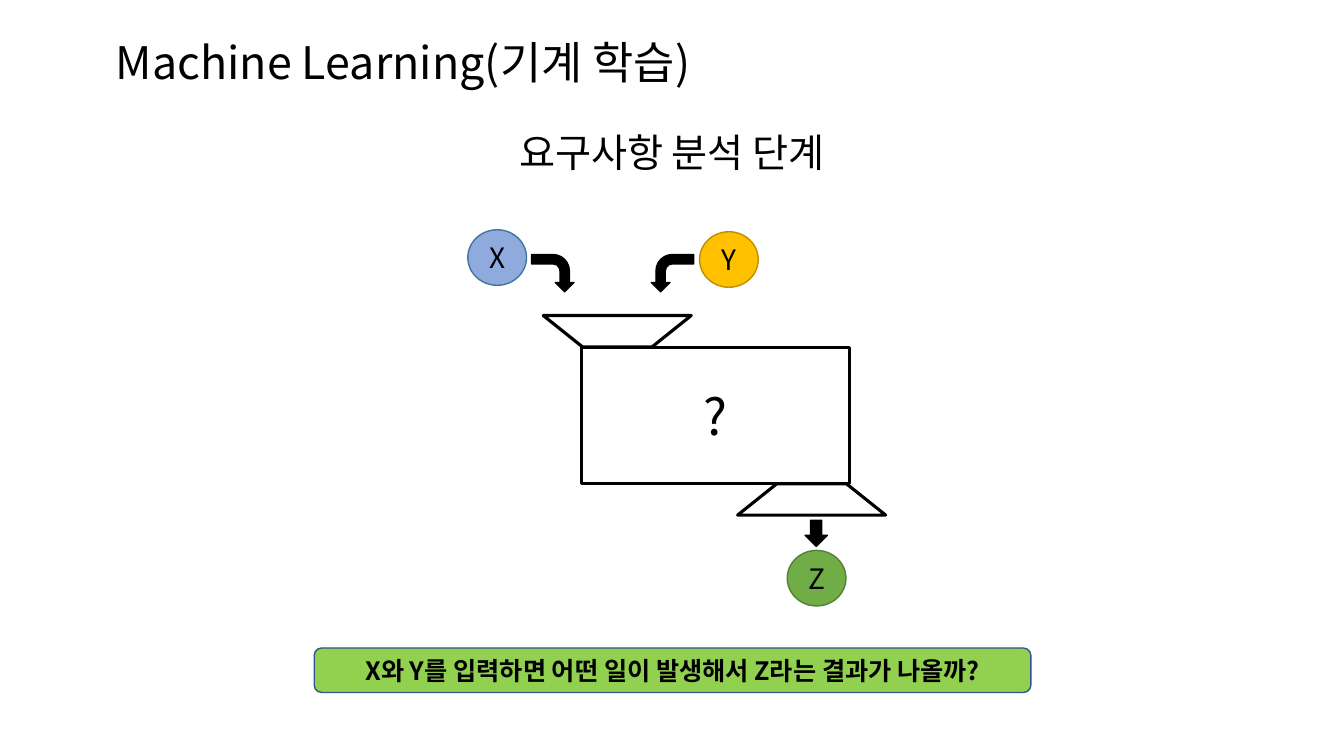
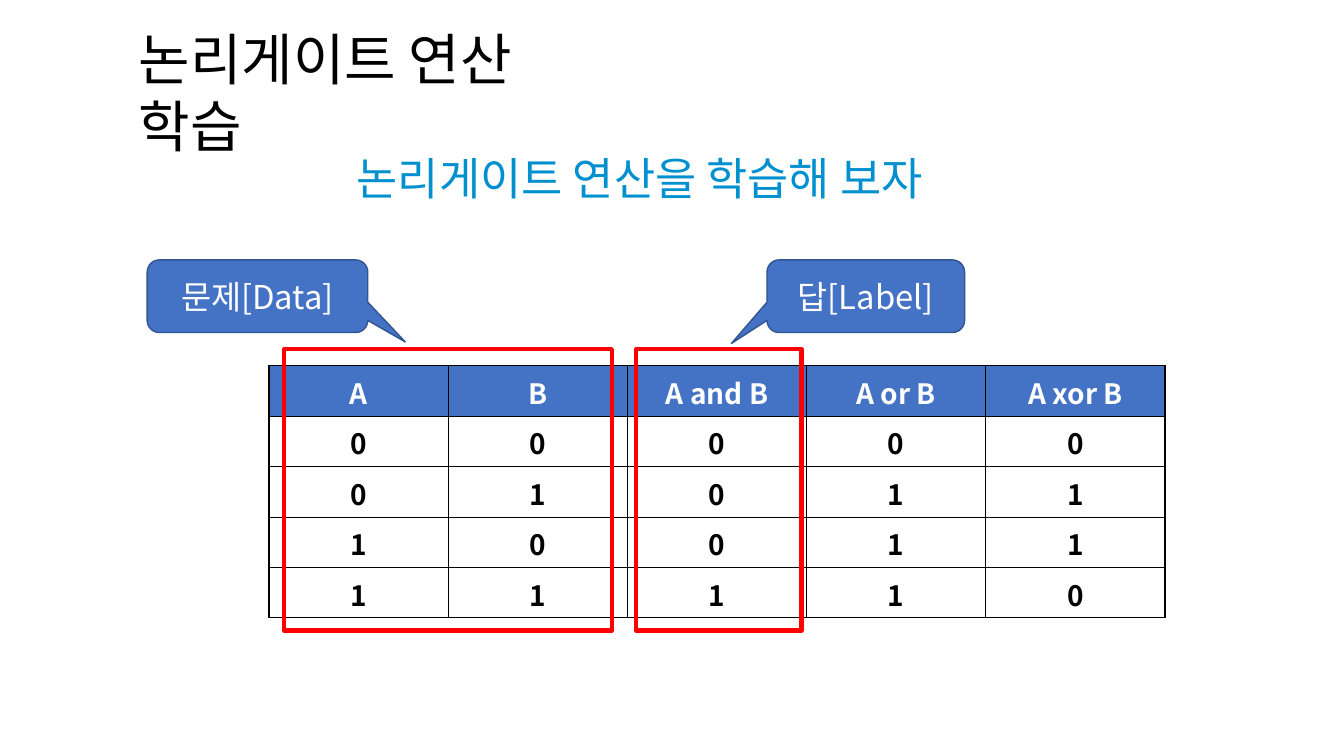
"""Build two slides: a machine learning diagram and a logic gate table."""
from dataclasses import dataclass
from typing import NamedTuple, Optional

from lxml import etree
from pptx import Presentation, slide as sl, util as u
from pptx.dml import color
from pptx.enum import shapes, text
from pptx.oxml import ns
from pptx.shapes import autoshape
from pptx.text import text as tx

Cm = u.Cm
Kind = shapes.MSO_SHAPE
Align = text.PP_ALIGN


@dataclass(frozen=True)
class Theme:
    font: str = "Noto Sans CJK KR"
    black: str = "000000"
    white: str = "FFFFFF"
    blue: str = "4472C4"
    navy: str = "325491"
    cyan: str = "0090D0"
    red: str = "FF0000"
    lime: str = "92D050"
    input_x: tuple = ("8FAADC", "43739E")
    input_y: tuple = ("FFC000", "BD8E00")
    output_z: tuple = ("70AD47", "538035")
    title_size: float = 32
    large_title_size: float = 40
    subtitle_size: float = 28
    question_size: float = 36
    callout_size: float = 23.4
    label_size: float = 20
    banner_size: float = 18
    thin: float = 1
    outline: float = 2.25
    highlight: float = 3


THEME = Theme()


class Box(NamedTuple):
    left: float
    top: float
    width: float
    height: float

    def lengths(self) -> list[u.Length]:
        return [Cm(value) for value in self]


class Label(NamedTuple):
    words: str
    size: float
    ink: str = THEME.black
    bold: bool = False
    align: Align = Align.CENTER


class Figure(NamedTuple):
    kind: Kind
    box: Box
    fill: Optional[str]
    line: str
    width: float = THEME.thin
    label: Optional[Label] = None
    adjustments: tuple = ()
    rotation: float = 0
    flipped: bool = False


def rgb(value: str) -> color.RGBColor:
    return color.RGBColor.from_string(value)


def set_values(target: object, values: dict) -> None:
    for name, value in values.items():
        setattr(target, name, value)


def write(frame: tx.TextFrame, label: Label) -> None:
    paragraph = frame.paragraphs[0]
    paragraph.alignment = label.align
    run = paragraph.add_run()
    run.text = label.words
    set_values(run.font, {"name": THEME.font, "size": u.Pt(label.size), "bold": label.bold})
    run.font.color.rgb = rgb(label.ink)
    properties = run.font._element
    etree.SubElement(properties, ns.qn("a:ea"), typeface=THEME.font)


def add_text(slide: sl.Slide, box: Box, label: Label, inset: tuple = (0.25, 0.13)) -> None:
    frame = slide.shapes.add_textbox(*box.lengths()).text_frame
    side, edge = (Cm(value) for value in inset)
    set_values(frame, {
        "word_wrap": True, "auto_size": text.MSO_AUTO_SIZE.SHAPE_TO_FIT_TEXT,
        "margin_left": side, "margin_right": side, "margin_top": edge, "margin_bottom": edge,
    })
    write(frame, label)


def add_figure(slide: sl.Slide, figure: Figure) -> autoshape.Shape:
    shape = slide.shapes.add_shape(figure.kind, *figure.box.lengths())
    shape.shadow.inherit = False
    shape.rotation = figure.rotation
    if figure.flipped:
        shape.element.spPr.get_or_add_xfrm().set("flipV", "1")
    for index, value in enumerate(figure.adjustments):
        shape.adjustments[index] = value
    if figure.fill:
        shape.fill.solid()
        shape.fill.fore_color.rgb = rgb(figure.fill)
    else:
        shape.fill.background()
    shape.line.color.rgb = rgb(figure.line)
    shape.line.width = u.Pt(figure.width)
    if figure.label:
        set_values(shape.text_frame, {
            "word_wrap": True, "vertical_anchor": text.MSO_ANCHOR.MIDDLE,
            "margin_left": 0, "margin_right": 0, "margin_top": 0, "margin_bottom": 0,
        })
        write(shape.text_frame, figure.label)
    return shape


def add_borders(properties: etree._Element) -> None:
    for side in ("lnL", "lnR", "lnT", "lnB"):
        line = etree.SubElement(properties, ns.qn(f"a:{side}"), w=str(u.Pt(THEME.thin)))
        fill = etree.SubElement(line, ns.qn("a:solidFill"))
        etree.SubElement(fill, ns.qn("a:srgbClr"), val=THEME.black)


def add_truth_table(slide: sl.Slide, box: Box, rows: list[tuple]) -> None:
    table = slide.shapes.add_table(len(rows), len(rows[0]), *box.lengths()).table
    for column in table.columns:
        column.width = Cm(box.width / len(rows[0]))
    for row_index, values in enumerate(rows):
        table.rows[row_index].height = Cm(box.height / len(rows))
        header = row_index == 0
        for column_index, value in enumerate(values):
            cell = table.cell(row_index, column_index)
            add_borders(cell._tc.get_or_add_tcPr())
            cell.fill.solid()
            cell.fill.fore_color.rgb = rgb(THEME.blue if header else THEME.white)
            set_values(cell, {"margin_left": Cm(0.3), "margin_right": Cm(0.3),
                              "margin_top": Cm(0.15), "margin_bottom": Cm(0.15)})
            ink = THEME.white if header else THEME.black
            write(cell.text_frame, Label(str(value), THEME.label_size, ink, True))


def circle(name: str, left: float, top: float, colors: tuple) -> Figure:
    label = Label(name, THEME.label_size)
    return Figure(Kind.OVAL, Box(left, top, 1.48, 1.4), *colors, label=label)


def funnel(left: float, top: float, rotation: float) -> Figure:
    return Figure(Kind.TRAPEZOID, Box(left, top, 3.73, 0.79), THEME.white, THEME.black,
                  THEME.outline, adjustments=(1.25,), rotation=rotation)


def bent_arrow(left: float, flipped: bool) -> Figure:
    return Figure(Kind.BENT_ARROW, Box(left, 6.35, 0.94, 1.07), THEME.black, THEME.black,
                  rotation=90, flipped=flipped)


def callout(words: str, left: float, width: float, tip: tuple) -> Figure:
    return Figure(Kind.ROUNDED_RECTANGULAR_CALLOUT, Box(left, 6.55, width, 1.83), THEME.blue,
                  THEME.navy, label=Label(words, THEME.callout_size, THEME.white),
                  adjustments=(*tip, 0.167))


def highlight(left: float, width: float) -> Figure:
    return Figure(Kind.RECTANGLE, Box(left, 8.8, width, 7.09), None, THEME.red, THEME.highlight)


def build_machine_slide(slide: sl.Slide) -> None:
    add_text(slide, Box(11.4, 3.1, 11.07, 1.45), Label("요구사항 분석 단계", THEME.subtitle_size))
    question = Label("?", THEME.question_size)
    banner = Label("X와 Y를 입력하면 어떤 일이 발생해서 Z라는 결과가 나올까?",
                   THEME.banner_size, bold=True)
    for figure in (
        circle("X", 11.79, 5.79, THEME.input_x),
        circle("Y", 17.63, 5.84, THEME.input_y),
        circle("Z", 19.84, 13.87, THEME.output_z),
        Figure(Kind.RECTANGLE, Box(14.66, 8.76, 6.76, 3.43), THEME.white, THEME.black,
               THEME.outline, question),
        funnel(13.69, 7.95, 180),
        funnel(18.59, 12.19, 0),
        bent_arrow(13.46, False),
        bent_arrow(16.48, True),
        Figure(Kind.DOWN_ARROW, Box(20.29, 13.11, 0.56, 0.66), THEME.black, THEME.black),
        Figure(Kind.ROUNDED_RECTANGLE, Box(7.92, 16.33, 18.06, 1.12), THEME.lime, THEME.navy,
               label=banner),
    ):
        add_figure(slide, figure)
    add_text(slide, Box(2.67, 0.74, 15.72, 1.63),
             Label("Machine Learning(기계 학습)", THEME.title_size, align=Align.LEFT))


def build_gate_slide(slide: sl.Slide) -> None:
    add_text(slide, Box(3.25, 0.48, 12.19, 1.96),
             Label("논리게이트 연산 학습", THEME.large_title_size, align=Align.LEFT))
    add_text(slide, Box(8.66, 3.66, 16.54, 1.7),
             Label("논리게이트 연산을 학습해 보자", THEME.title_size, THEME.cyan, align=Align.LEFT),
             (0.33, 0.15))
    rows = [("A", "B", "A and B", "A or B", "A xor B")]
    rows += [(a, b, a & b, a | b, a ^ b) for a in (0, 1) for b in (0, 1)]
    add_truth_table(slide, Box(6.78, 9.22, 22.58, 6.35), rows)
    for figure in (
        highlight(7.16, 8.26),
        highlight(16.03, 4.17),
        callout("문제[Data]", 3.71, 5.56, (0.67, 0.63)),
        callout("답[Label]", 19.33, 4.98, (-0.68, 0.65)),
    ):
        add_figure(slide, figure)


def main() -> None:
    presentation = Presentation()
    set_values(presentation, {"slide_width": Cm(33.87), "slide_height": Cm(19.05)})
    for build in (build_machine_slide, build_gate_slide):
        build(presentation.slides.add_slide(presentation.slide_layouts[6]))
    presentation.save("out.pptx")


if __name__ == "__main__":
    main()
